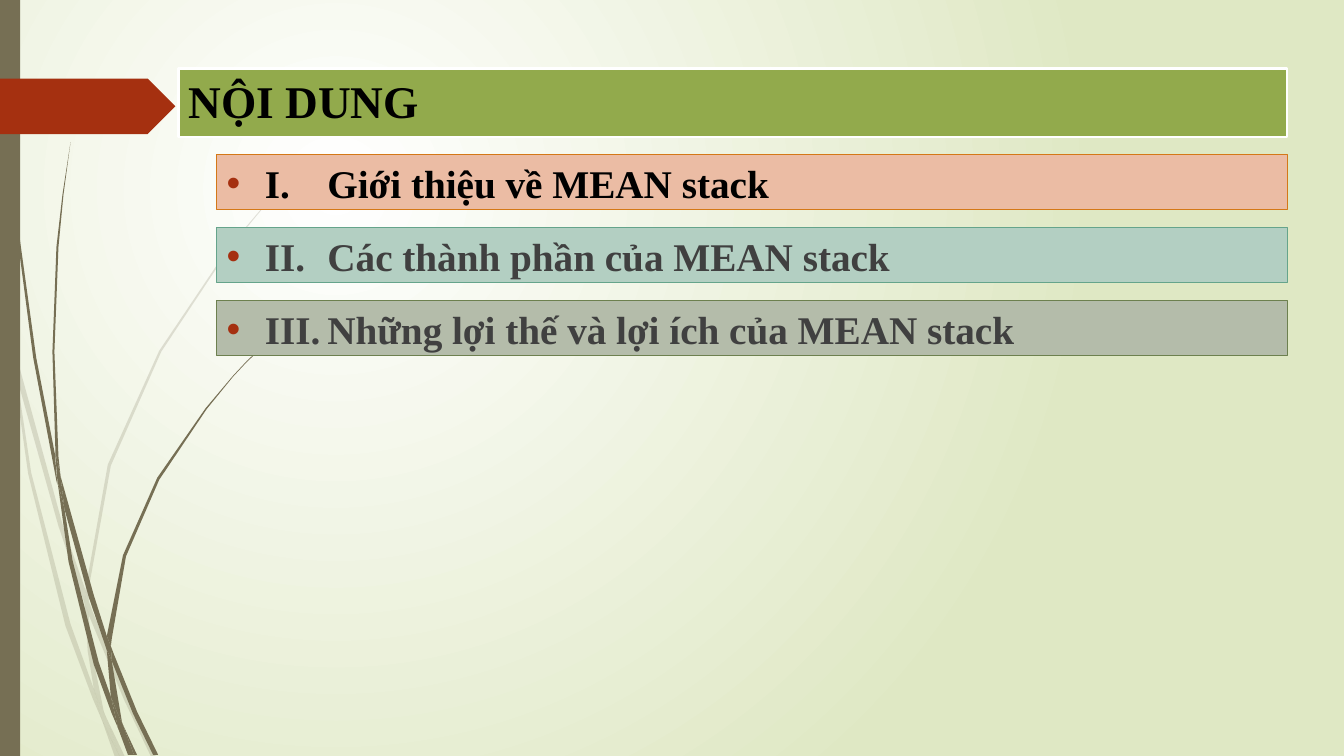
from lxml import etree
from pptx import Presentation
from pptx.dml.color import RGBColor
from pptx.enum import shapes, text
from pptx.oxml import ns
from pptx.util import Pt

PX = 9144  # 100 px to the inch
FONT = "Times New Roman"
BROWN, RED, BLACK, GREY = "766F54", "A53010", "000000", "404040"

# Outlines of the pieces of the grass stalks, in px.
FAINT_STALKS = [
    [(11, 350), (9, 322), (0, 282), (0, 299), (10, 344)],
    [(58, 522), (84, 599), (85, 586), (62, 520), (14, 345), (17, 376)],
    [(92, 607), (88, 596), (88, 610), (123, 694), (150, 751), (155, 751),
     (127, 692)],
    [(119, 751), (124, 751), (105, 711)],
    [(93, 683), (70, 619), (31, 469), (17, 376), (11, 350), (28, 470),
     (65, 621), (92, 693), (101, 714), (99, 707)],
    [(84, 599), (87, 646), (93, 683), (96, 692), (105, 711), (103, 706),
     (91, 646), (88, 610), (88, 608)],
    [(88, 584), (110, 462), (160, 349), (229, 245), (268, 198), (290, 175),
     (312, 154), (312, 153), (289, 175), (268, 197), (228, 244), (158, 348),
     (107, 461), (85, 584), (85, 586), (88, 596)],
    [(101, 714), (114, 751), (119, 751)],
    [(88, 608), (88, 610), (88, 596), (85, 586), (84, 599)],
    [(96, 692), (93, 683), (99, 707), (101, 714), (119, 751), (105, 711)],
]
DARK_STALKS = [
    [(7, 110), (17, 233), (33, 355), (56, 477), (57, 481), (55, 457),
     (55, 453), (36, 355), (19, 232), (8, 109), (5, 48), (4, 0), (3, 0),
     (4, 48)],
    [(88, 592), (106, 645), (106, 633), (106, 631), (93, 590), (60, 472),
     (64, 505)],
    [(113, 649), (110, 641), (111, 656), (132, 708), (152, 749), (157, 749),
     (136, 706)],
    [(110, 691), (98, 657), (72, 556), (64, 505), (57, 477), (68, 557),
     (93, 659), (111, 708), (117, 722), (116, 717)],
    [(60, 472), (58, 453), (54, 349), (58, 245), (63, 193), (70, 141),
     (62, 193), (56, 245), (52, 349), (55, 449)],
    [(133, 749), (136, 749), (122, 719)],
    [(57, 477), (64, 505), (60, 472), (55, 449), (55, 453)],
    [(111, 633), (125, 552), (158, 476), (205, 406), (231, 374), (245, 359),
     (261, 344), (260, 344), (245, 358), (231, 373), (204, 405), (156, 474),
     (122, 551), (106, 631), (110, 641)],
    [(117, 722), (127, 749), (131, 749)],
    [(106, 645), (110, 691), (116, 706), (122, 719), (121, 716), (111, 656),
     (109, 651)],
    [(106, 645), (109, 651), (111, 656), (110, 641), (106, 631), (106, 633)],
    [(116, 706), (110, 691), (116, 717), (117, 722), (130, 749), (133, 749),
     (122, 719)],
]
TOPICS = [
    ("I.\tGiới thiệu về MEAN stack", "EBBCA4", "D47817", BLACK),
    ("II.\tCác thành phần của MEAN stack", "B3CFC2", "65A48B", GREY),
    ("III.\tNhững lợi thế và lợi ích của MEAN stack", "B4BCAA", "6D804F", GREY),
]


def emu(length):
    return round(length * PX)


def color(hex_string):
    return RGBColor.from_string(hex_string)


def paint(shape, fill, line=None, width=0.75):
    shape.fill.solid()
    shape.fill.fore_color.rgb = color(fill)
    if line:
        shape.line.color.rgb = color(line)
        shape.line.width = Pt(width)
    else:
        shape.line.fill.background()


def add_box(slide, kind, box, fill, line=None):
    shape = slide.shapes.add_shape(kind, *map(emu, box))
    shape.shadow.inherit = False
    paint(shape, fill, line)
    return shape


def write(shape, words, size, font_color):
    frame = shape.text_frame
    frame.text = words
    frame.word_wrap = True
    frame.auto_size = text.MSO_AUTO_SIZE.NONE
    frame.vertical_anchor = text.MSO_ANCHOR.TOP
    paragraph = frame.paragraphs[0]
    paragraph.alignment = text.PP_ALIGN.LEFT
    font = paragraph.runs[0].font
    font.name, font.size, font.bold = FONT, Pt(size), True
    font.color.rgb = color(font_color)
    return paragraph


def add_stalks(slide, outlines, opacity=100):
    group = slide.shapes.add_group_shape()
    for outline in outlines:
        builder = group.shapes.build_freeform(*outline[0], scale=PX)
        builder.add_line_segments(outline[1:], close=True)
        piece = builder.convert_to_shape()
        piece.shadow.inherit = False
        paint(piece, BROWN)
        if opacity < 100:
            tint = piece.fill._xPr.find(".//" + ns.qn("a:srgbClr"))
            etree.SubElement(tint, ns.qn("a:alpha"), val=str(opacity * 1000))


def set_background(slide):
    fill = slide.background.fill
    fill.gradient()
    for stop, hex_string in zip(fill.gradient_stops, ("FFFFFF", "DFE8C4")):
        stop.color.rgb = color(hex_string)
    linear = slide.element.find(".//" + ns.qn("a:lin"))
    radial = etree.Element(ns.qn("a:path"), {"path": "circle"})
    etree.SubElement(radial, ns.qn("a:fillToRect"),
                     l="50000", t="50000", r="100000", b="100000")
    linear.getparent().replace(linear, radial)


def add_decoration(slide):
    add_stalks(slide, FAINT_STALKS, opacity=20)
    add_stalks(slide, DARK_STALKS)
    add_box(slide, shapes.MSO_SHAPE.RECTANGLE, (0, 0, 20, 750), BROWN)
    add_box(slide, shapes.MSO_SHAPE.PENTAGON, (0, 78, 174, 55), RED)


def add_title(slide, box):
    title = slide.shapes.title
    title.left, title.top, title.width, title.height = map(emu, box)
    paint(title, "92AA4C", "FFFFFF", 1.75)
    write(title, "NỘI DUNG", 32.4, BLACK)


def add_bullet(paragraph):
    properties = paragraph._p.get_or_add_pPr()
    properties.set("marL", str(emu(38)))
    properties.set("indent", str(-emu(38)))
    bullet_color = etree.SubElement(properties, ns.qn("a:buClr"))
    etree.SubElement(bullet_color, ns.qn("a:srgbClr"), val=RED)
    etree.SubElement(properties, ns.qn("a:buFont"), typeface="Arial")
    etree.SubElement(properties, ns.qn("a:buChar"), char="•")


def add_topics(slide, box, row=55):
    left, top, width, height = box
    pitch = (height - row) / (len(TOPICS) - 1)
    for index, (words, fill, line, font_color) in enumerate(TOPICS):
        place = (left, top + index * pitch, width, row)
        shape = add_box(slide, shapes.MSO_SHAPE.RECTANGLE, place, fill, line)
        add_bullet(write(shape, words, 28, font_color))


def main():
    presentation = Presentation()
    presentation.slide_width = emu(4000 / 3)
    presentation.slide_height = emu(750)
    slide = presentation.slides.add_slide(presentation.slide_layouts[5])
    set_background(slide)
    add_decoration(slide)
    add_title(slide, (177, 68, 1100, 68))
    add_topics(slide, (215, 153, 1062, 200))
    presentation.save("out.pptx")


if __name__ == "__main__":
    main()
